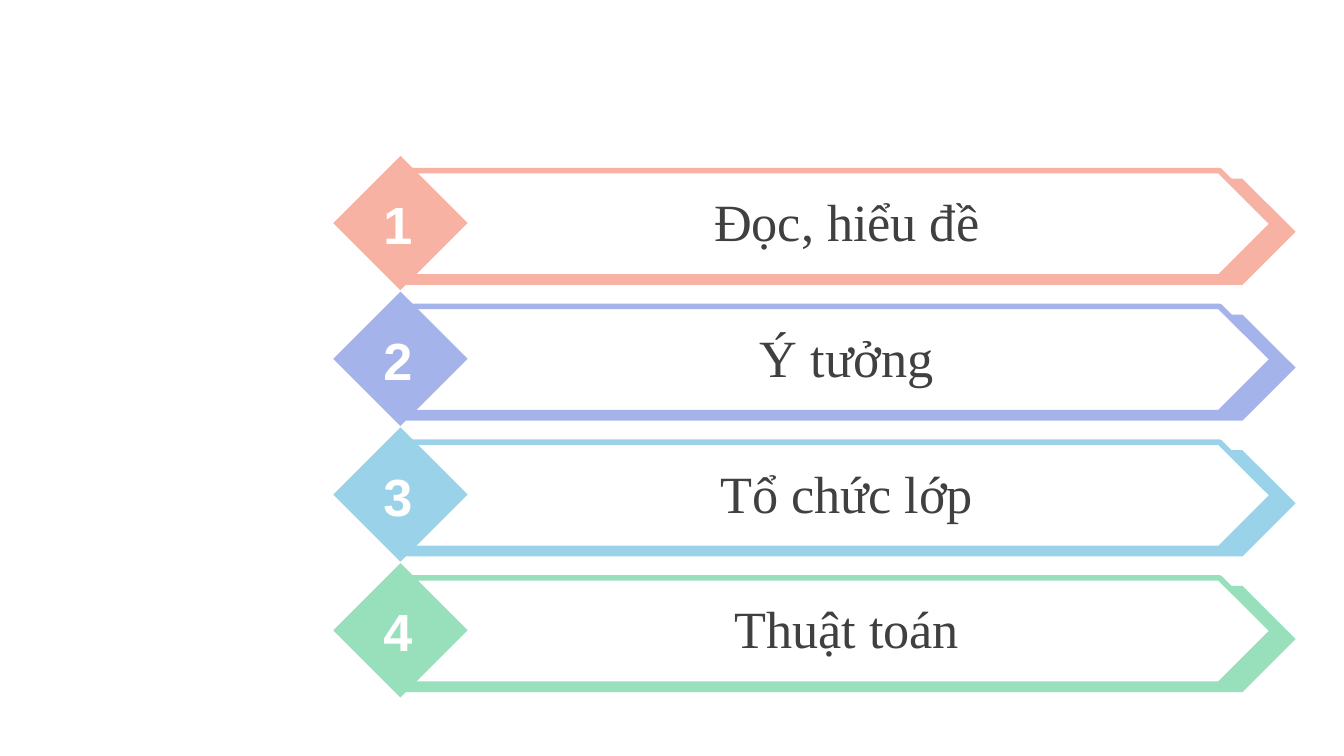
from pptx import Presentation
from pptx import util as u
from pptx.dml.color import RGBColor
from pptx.enum import shapes, text

STEPS = [
    ("Đọc, hiểu đề", "F8B2A3"),
    ("Ý tưởng", "A4B4EA"),
    ("Tổ chức lớp", "9AD3E9"),
    ("Thuật toán", "98DFBB"),
]
FIRST_TOP = 1.16
ROW_PITCH = 1.01


def add_block(group, kind, left, top, width, height, fill, line=None):
    shape = group.shapes.add_shape(
        kind, u.Inches(left), u.Inches(top), u.Inches(width), u.Inches(height))
    shape.shadow.inherit = False
    shape.fill.solid()
    shape.fill.fore_color.rgb = RGBColor.from_string(fill)
    if line:
        shape.line.color.rgb = RGBColor.from_string(line)
        shape.line.width = u.Pt(3)
    else:
        shape.line.fill.background()


def add_label(slide, words, left, top, width, font, color, bold, anchor):
    box = slide.shapes.add_textbox(
        u.Inches(left), u.Inches(top), u.Inches(width), u.Inches(0.57))
    frame = box.text_frame
    frame.word_wrap = True
    frame.auto_size = text.MSO_AUTO_SIZE.SHAPE_TO_FIT_TEXT
    frame.vertical_anchor = anchor
    paragraph = frame.paragraphs[0]
    paragraph.alignment = text.PP_ALIGN.CENTER
    run = paragraph.add_run()
    run.text = words
    run.font.name = font
    run.font.size = u.Pt(28)
    run.font.bold = bold
    run.font.color.rgb = RGBColor.from_string(color)


presentation = Presentation()
presentation.slide_width = u.Inches(10)
presentation.slide_height = u.Inches(10 * 9 / 16)
slide = presentation.slides.add_slide(presentation.slide_layouts[6])

pentagon = shapes.MSO_SHAPE.PENTAGON
diamond = shapes.MSO_SHAPE.DIAMOND

for index, (step, color) in enumerate(STEPS):
    top = FIRST_TOP + index * ROW_PITCH
    group = slide.shapes.add_group_shape()
    add_block(group, pentagon, 3, top + 0.17, 6.64, 0.79, color)
    add_block(group, pentagon, 3, top + 0.11, 6.47, 0.79, "FFFFFF", color)
    add_block(group, diamond, 2.48, top, 1, 1, color)
    add_label(slide, f"{index + 1} ", 2.74, top + 0.22, 0.44,
              "Arial", "FFFFFF", True, text.MSO_ANCHOR.MIDDLE)
    add_label(slide, step, 3.7, top + 0.2, 5.2,
              "Times New Roman", "404040", False, text.MSO_ANCHOR.TOP)

presentation.save("out.pptx")
